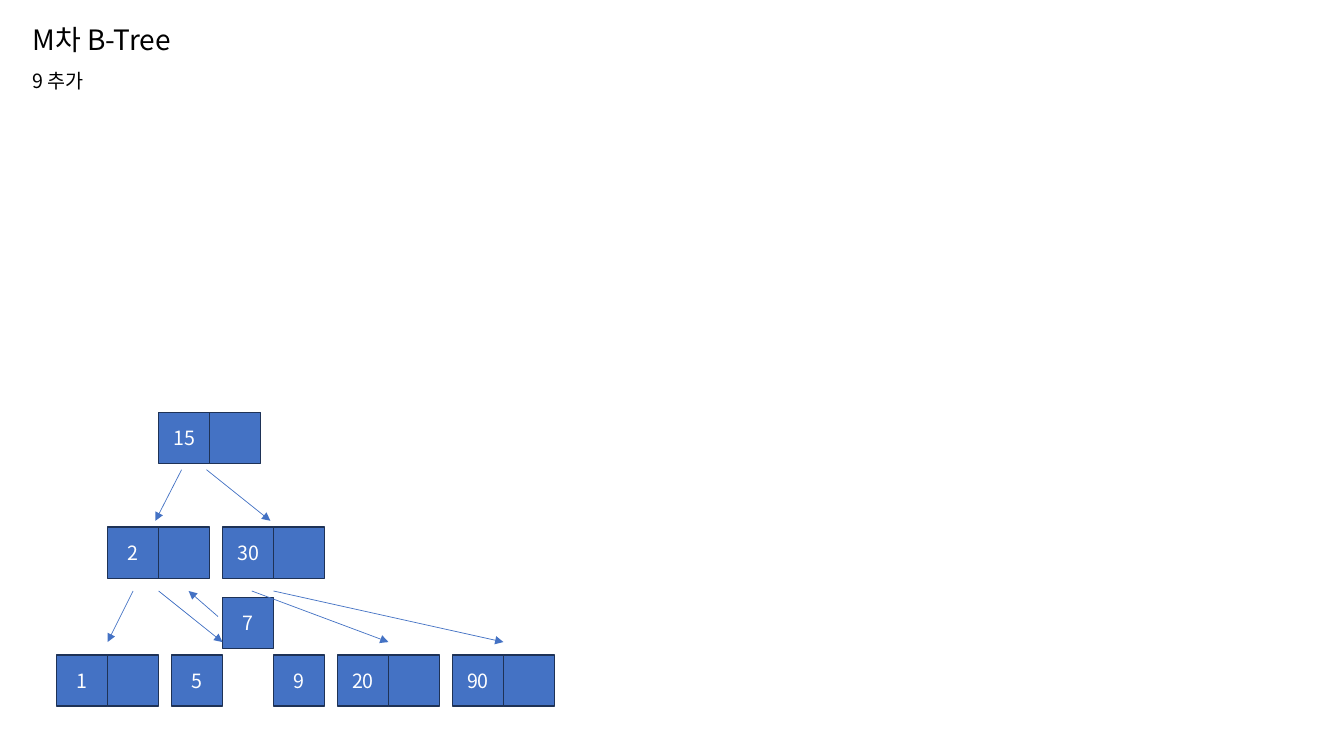
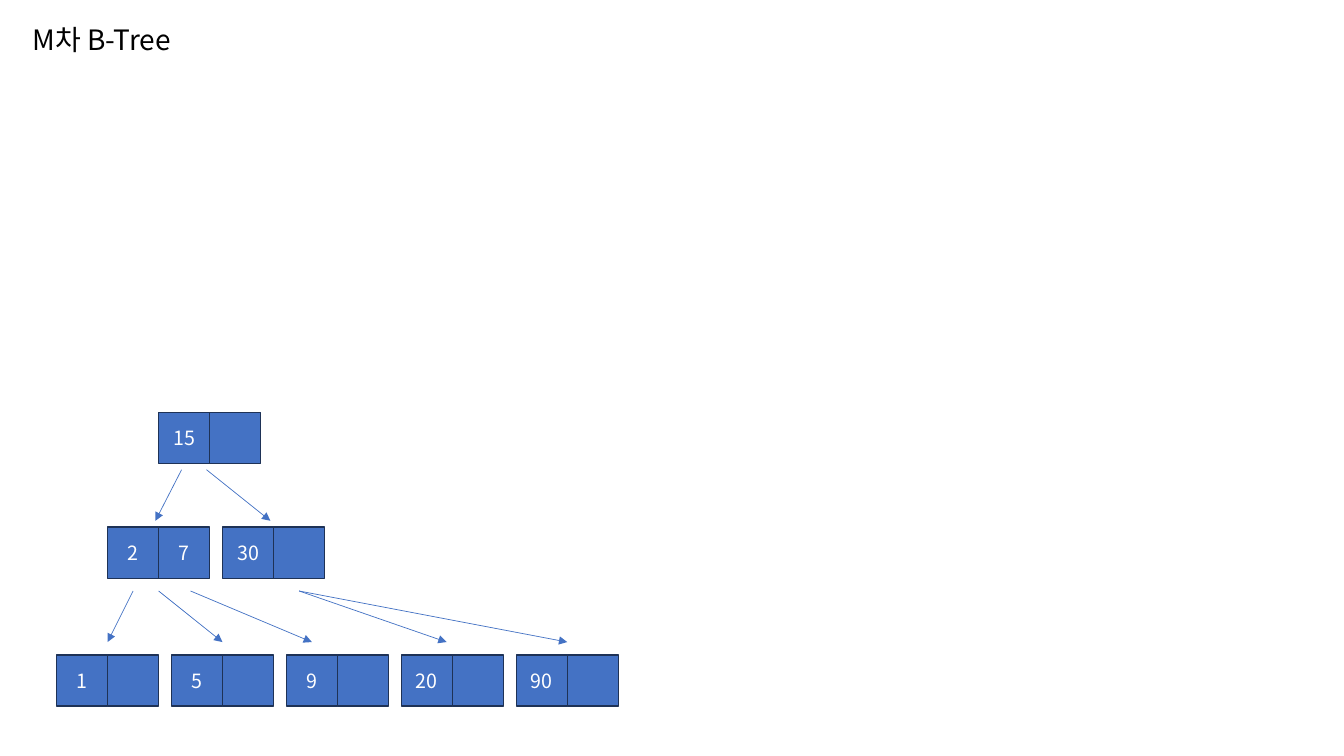
"""Build two slides that show adding 9 to an M-way B-tree."""
from pptx import Presentation
from pptx.dml.color import RGBColor
from pptx.enum.shapes import MSO_CONNECTOR, MSO_SHAPE
from pptx.enum.text import MSO_ANCHOR, MSO_AUTO_SIZE, PP_ALIGN
from pptx.oxml.ns import qn
from pptx.util import Inches, Pt
from lxml.etree import SubElement

BLUE = RGBColor(0x44, 0x72, 0xC4)
NAVY = RGBColor(0x1E, 0x32, 0x56)
BLACK = RGBColor(0, 0, 0)
WHITE = RGBColor(0xFF, 0xFF, 0xFF)
FONT = "Noto Sans CJK KR"

TREE_LEFT, TREE_TOP = Inches(0.56), Inches(4.09)
UNIT = Inches(1.14) / 9
CELL = 4
ROOT, BRANCH, LEAF = 0, 9, 19


def add_run(paragraph, text, size, color):
    run = paragraph.add_run()
    run.text = text
    run.font.size = Pt(size)
    run.font.name = FONT
    run.font.color.rgb = color
    SubElement(run.font._element, qn("a:ea"), typeface=FONT)


def grid_point(column, row):
    return round(TREE_LEFT + column * UNIT), round(TREE_TOP + row * UNIT)


shared_nodes = [
    (8, ROOT, ["15", ""]),
    (13, BRANCH, ["30", ""]),
    (0, LEAF, ["1", ""]),
]
shared_arrows = [
    (9.8, 4.5, 7.75, 8.5),
    (11.75, 4.5, 16.75, 8.5),
    (6, 14, 4, 18),
    (8, 14, 13, 18),
]
steps = [
    {
        "subtitle": "9 추가",
        "nodes": [
            (4, BRANCH, ["2", ""]),
            (9, LEAF, ["5"]),
            (13, 14.5, ["7"]),
            (17, LEAF, ["9"]),
            (22, LEAF, ["20", ""]),
            (31, LEAF, ["90", ""]),
        ],
        "arrows": [
            (15.3, 14, 26, 18),
            (17, 14, 35, 18),
            (12.65, 16, 10.35, 14),
        ],
    },
    {
        "subtitle": "",
        "nodes": [
            (4, BRANCH, ["2", "7"]),
            (9, LEAF, ["5", ""]),
            (18, LEAF, ["9", ""]),
            (27, LEAF, ["20", ""]),
            (36, LEAF, ["90", ""]),
        ],
        "arrows": [
            (10.5, 14, 20, 18),
            (19, 14, 30.55, 18),
            (19, 14, 40, 18),
        ],
    },
]

presentation = Presentation()
presentation.slide_width = Inches(13.33)
presentation.slide_height = Inches(7.5)
title_only = presentation.slide_layouts[5]

for step in steps:
    slide = presentation.slides.add_slide(title_only)

    title = slide.shapes.title
    title.left, title.top = Inches(0.22), Inches(0.18)
    title.width, title.height = Inches(4.94), Inches(0.97)
    frame = title.text_frame
    frame.auto_size = MSO_AUTO_SIZE.NONE
    frame.vertical_anchor = MSO_ANCHOR.TOP
    frame.margin_top = Inches(0.08)
    add_run(frame.paragraphs[0], "M차 B-Tree", 20, BLACK)
    if step["subtitle"]:
        subtitle = frame.add_paragraph()
        subtitle.space_before = Pt(11)
        add_run(subtitle, step["subtitle"], 14, BLACK)
    for paragraph in frame.paragraphs:
        paragraph.alignment = PP_ALIGN.LEFT
        paragraph.line_spacing = 0.9

    for column, row, keys in shared_nodes + step["nodes"]:
        for index, key in enumerate(keys):
            left, top = grid_point(column + index * CELL, row)
            side = round(CELL * UNIT)
            cell = slide.shapes.add_shape(MSO_SHAPE.RECTANGLE, left, top, side, side)
            cell.shadow.inherit = False
            cell.fill.solid()
            cell.fill.fore_color.rgb = BLUE
            cell.line.color.rgb = NAVY
            cell.line.width = Pt(1)
            if key:
                cell.text_frame.vertical_anchor = MSO_ANCHOR.MIDDLE
                paragraph = cell.text_frame.paragraphs[0]
                paragraph.alignment = PP_ALIGN.CENTER
                add_run(paragraph, key, 14, WHITE)

    for from_column, from_row, to_column, to_row in shared_arrows + step["arrows"]:
        arrow = slide.shapes.add_connector(
            MSO_CONNECTOR.STRAIGHT,
            *grid_point(from_column, from_row),
            *grid_point(to_column, to_row),
        )
        arrow.line.color.rgb = BLUE
        arrow.line.width = Pt(0.5)
        SubElement(arrow.line._get_or_add_ln(), qn("a:tailEnd"), type="triangle")
        SubElement(arrow._element.spPr, qn("a:effectLst"))

presentation.save("out.pptx")
